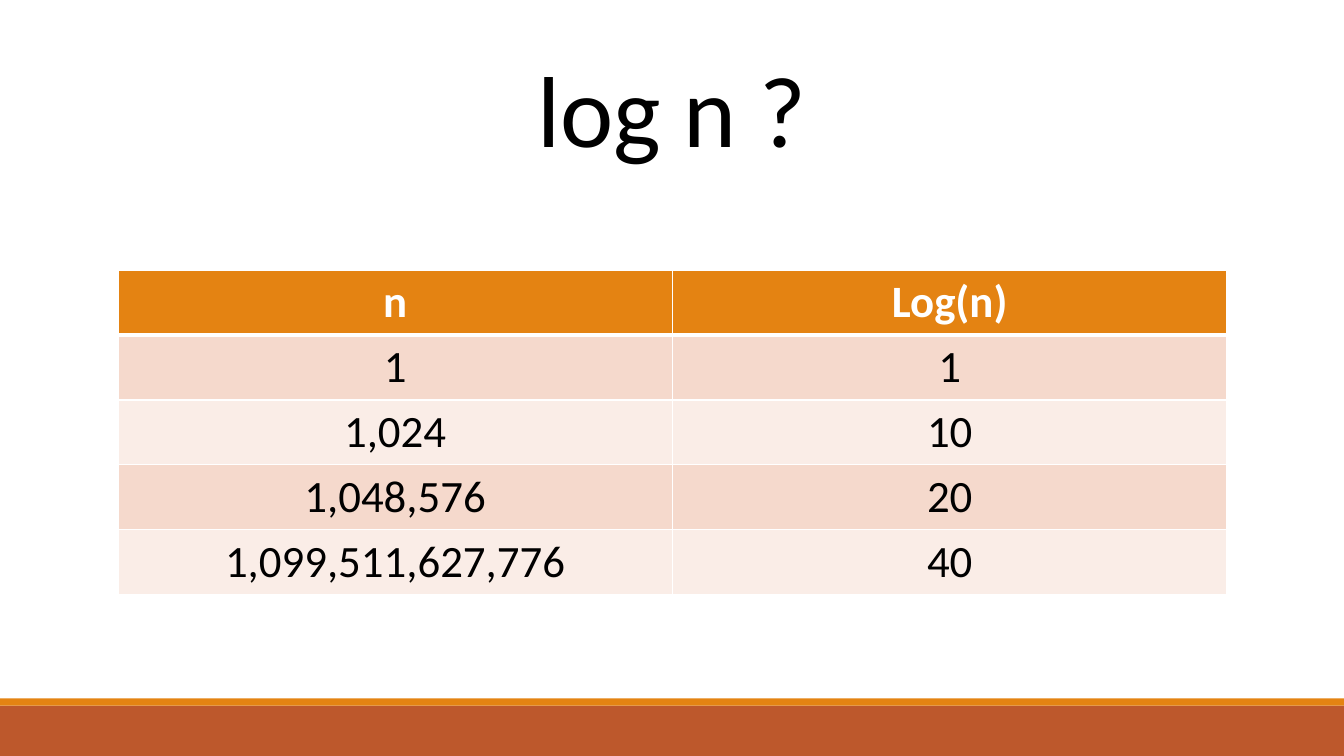
import lxml.etree
import pptx
import pptx.dml.color
import pptx.enum.shapes
import pptx.enum.text
import pptx.oxml.ns
import pptx.util

Inches = pptx.util.Inches
Pt = pptx.util.Pt
RGBColor = pptx.dml.color.RGBColor
qn = pptx.oxml.ns.qn

WHITE = RGBColor(0xFF, 0xFF, 0xFF)
BLACK = RGBColor(0x00, 0x00, 0x00)
ORANGE = RGBColor(0xE4, 0x83, 0x12)
RUST = RGBColor(0xBD, 0x58, 0x2C)
DARK_BAND = RGBColor(0xF5, 0xD9, 0xCC)
LIGHT_BAND = RGBColor(0xFA, 0xED, 0xE7)

FONT = "Calibri"
LOG_ROWS = [
    ("n", "Log(n)"),
    ("1", "1"),
    ("1,024", "10"),
    ("1,048,576", "20"),
    ("1,099,511,627,776", "40"),
]


def write_centred(frame, text, size, color, bold=False):
    frame.text = text
    para = frame.paragraphs[0]
    para.alignment = pptx.enum.text.PP_ALIGN.CENTER
    font = para.runs[0].font
    font.name = FONT
    font.size = Pt(size)
    font.bold = bold
    font.color.rgb = color


def add_bar(page, top, height, color):
    bar = page.shapes.add_shape(
        pptx.enum.shapes.MSO_SHAPE.RECTANGLE,
        Inches(0), Inches(top), Inches(13.33), Inches(height),
    )
    bar.shadow.inherit = False
    bar.fill.solid()
    bar.fill.fore_color.rgb = color
    bar.line.fill.background()


def add_title(page, text):
    box = page.shapes.add_textbox(Inches(3.33), Inches(0.41), Inches(6.67), Inches(1.31))
    box.text_frame.word_wrap = True
    write_centred(box.text_frame, text, 72, BLACK)


def set_borders(cell, top, bottom):
    properties = cell._tc.get_or_add_tcPr()
    widths = {"a:lnL": 1, "a:lnR": 1, "a:lnT": top, "a:lnB": bottom}
    for position, (tag, width) in enumerate(widths.items()):
        line = lxml.etree.Element(qn(tag), w=str(Pt(width)))
        fill = lxml.etree.SubElement(line, qn("a:solidFill"))
        lxml.etree.SubElement(fill, qn("a:srgbClr"), val=str(WHITE))
        properties.insert(position, line)


def add_log_table(page, rows):
    row_height = Inches(0.64)
    frame = page.shapes.add_table(
        len(rows), len(rows[0]),
        Inches(1.17), Inches(2.68), Inches(11), row_height * len(rows),
    )
    for row_index, texts in enumerate(rows):
        header = row_index == 0
        band = DARK_BAND if row_index % 2 else LIGHT_BAND
        for column_index, text in enumerate(texts):
            cell = frame.table.cell(row_index, column_index)
            cell.fill.solid()
            cell.fill.fore_color.rgb = ORANGE if header else band
            write_centred(cell.text_frame, text, 32, WHITE if header else BLACK, header)
            set_borders(cell, 3 if row_index == 1 else 1, 3 if header else 1)


def main():
    deck = pptx.Presentation()
    deck.slide_width = Inches(13.33)
    deck.slide_height = Inches(7.5)
    page = deck.slides.add_slide(deck.slide_layouts[6])
    add_bar(page, 7, 0.5, RUST)
    add_bar(page, 6.93, 0.07, ORANGE)
    add_log_table(page, LOG_ROWS)
    add_title(page, "log n ?")
    deck.save("out.pptx")


if __name__ == "__main__":
    main()
